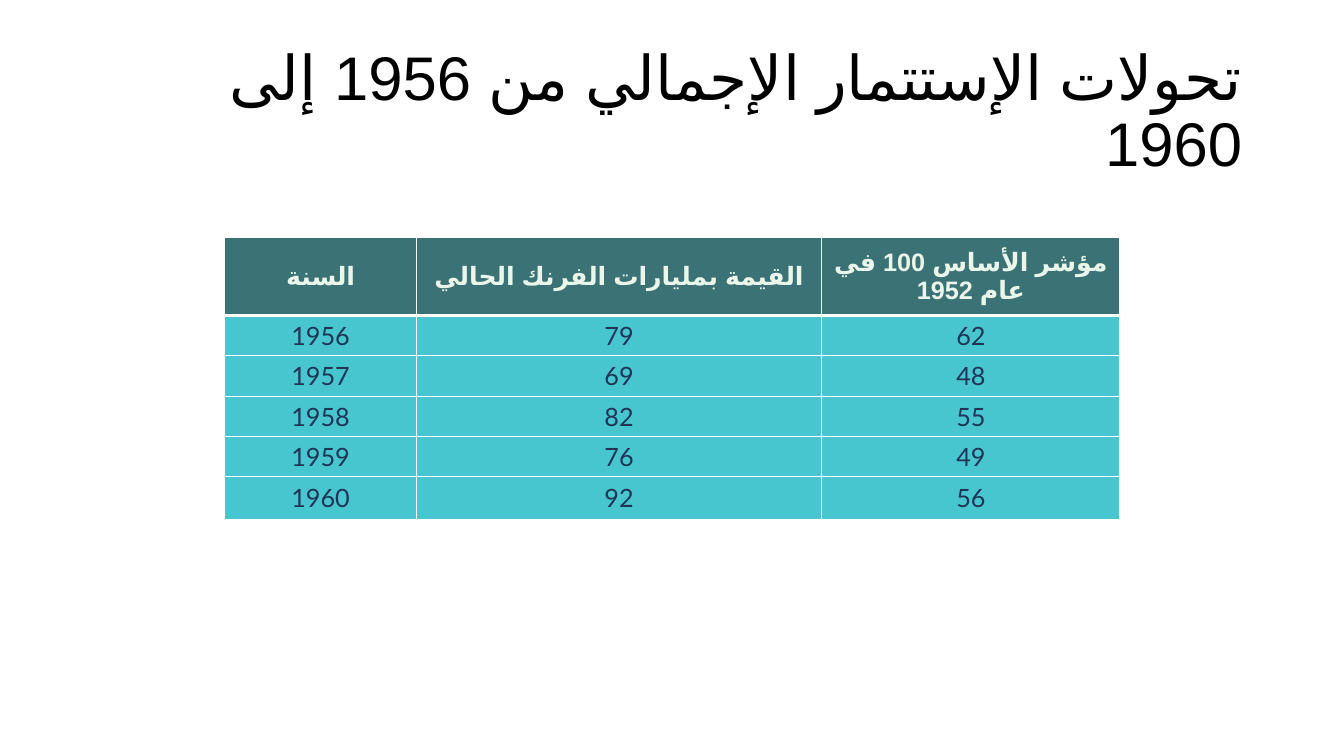
from lxml.etree import SubElement
from pptx import Presentation
from pptx.dml.color import RGBColor
from pptx.enum.text import MSO_ANCHOR, PP_ALIGN
from pptx.oxml.ns import qn
from pptx.util import Inches, Pt

FONT = "Lato"
ARABIC_FONT = "Arial"
BLACK = RGBColor(0x00, 0x00, 0x00)
WHITE = RGBColor(0xFF, 0xFF, 0xFF)
TEAL = RGBColor(0x3A, 0x72, 0x75)
TURQUOISE = RGBColor(0x48, 0xC6, 0xCF)
MINT = RGBColor(0xEA, 0xF6, 0xEA)
NAVY = RGBColor(0x1F, 0x34, 0x57)

TITLE = "تحولات الإستتمار الإجمالي من 1956 إلى 1960"
HEADINGS = ("السنة", "القيمة بمليارات الفرنك الحالي", "مؤشر الأساس 100 في عام 1952")
INVESTMENTS = (
    (1956, 79, 62),
    (1957, 69, 48),
    (1958, 82, 55),
    (1959, 76, 49),
    (1960, 92, 56),
)
COLUMN_WIDTHS = (1.9, 4.02, 2.96)
ROW_HEIGHTS = (0.77, 0.4, 0.4, 0.4, 0.4, 0.42)


def write(frame, text, size, color, align, bold=False, rtl=False, spacing=1.0):
    """Write one formatted paragraph into a text frame."""
    paragraph = frame.paragraphs[0]
    paragraph.alignment = align
    paragraph.line_spacing = spacing
    run = paragraph.add_run()
    run.text = text
    run.font.name = FONT
    run.font.size = Pt(size)
    run.font.bold = bold
    run.font.color.rgb = color
    if rtl:
        paragraph._p.get_or_add_pPr().set("rtl", "1")
        properties = run._r.get_or_add_rPr()
        properties.set("lang", "ar-DZ")
        SubElement(properties, qn("a:cs"), typeface=ARABIC_FONT)


def rule_cell(cell, bottom):
    """Draw white rules on the four sides of a cell."""
    properties = cell._tc.get_or_add_tcPr()
    for side, width in (("lnL", 1), ("lnR", 1), ("lnT", 1), ("lnB", bottom)):
        rule = SubElement(properties, qn(f"a:{side}"), w=str(Pt(width)))
        paint = SubElement(rule, qn("a:solidFill"))
        SubElement(paint, qn("a:srgbClr"), val=str(WHITE))


def add_title(slide, left, top, width, height):
    """Place the right-to-left title in its box."""
    frame = slide.shapes.add_textbox(left, top, width, height).text_frame
    frame.word_wrap = True
    frame.vertical_anchor = MSO_ANCHOR.MIDDLE
    write(frame, TITLE, 44, BLACK, PP_ALIGN.RIGHT, rtl=True, spacing=0.9)


def add_investment_table(slide, left, top, width, height):
    """Place the yearly investment table in its box."""
    rows = (HEADINGS, *INVESTMENTS)
    table = slide.shapes.add_table(len(rows), len(HEADINGS), left, top, width, height).table
    table.horz_banding = False
    for column, share in zip(table.columns, COLUMN_WIDTHS):
        column.width = int(width * share / sum(COLUMN_WIDTHS))
    for r, values in enumerate(rows):
        heading = r == 0
        table.rows[r].height = int(height * ROW_HEIGHTS[r] / sum(ROW_HEIGHTS))
        for c, value in enumerate(values):
            cell = table.cell(r, c)
            rule_cell(cell, 3 if heading else 1)
            cell.fill.solid()
            cell.fill.fore_color.rgb = TEAL if heading else TURQUOISE
            cell.vertical_anchor = MSO_ANCHOR.MIDDLE
            write(cell.text_frame, str(value), 18, MINT if heading else NAVY,
                  PP_ALIGN.CENTER, bold=heading, rtl=heading)


def main():
    """Build and save the slide."""
    deck = Presentation()
    deck.slide_width, deck.slide_height = Inches(13.33), Inches(7.5)
    slide = deck.slides.add_slide(deck.slide_layouts[6])
    add_title(slide, Inches(0.92), Inches(0.4), Inches(11.5), Inches(1.45))
    add_investment_table(slide, Inches(2.23), Inches(2.36),
                         Inches(sum(COLUMN_WIDTHS)), Inches(sum(ROW_HEIGHTS)))
    deck.save("out.pptx")


if __name__ == "__main__":
    main()
